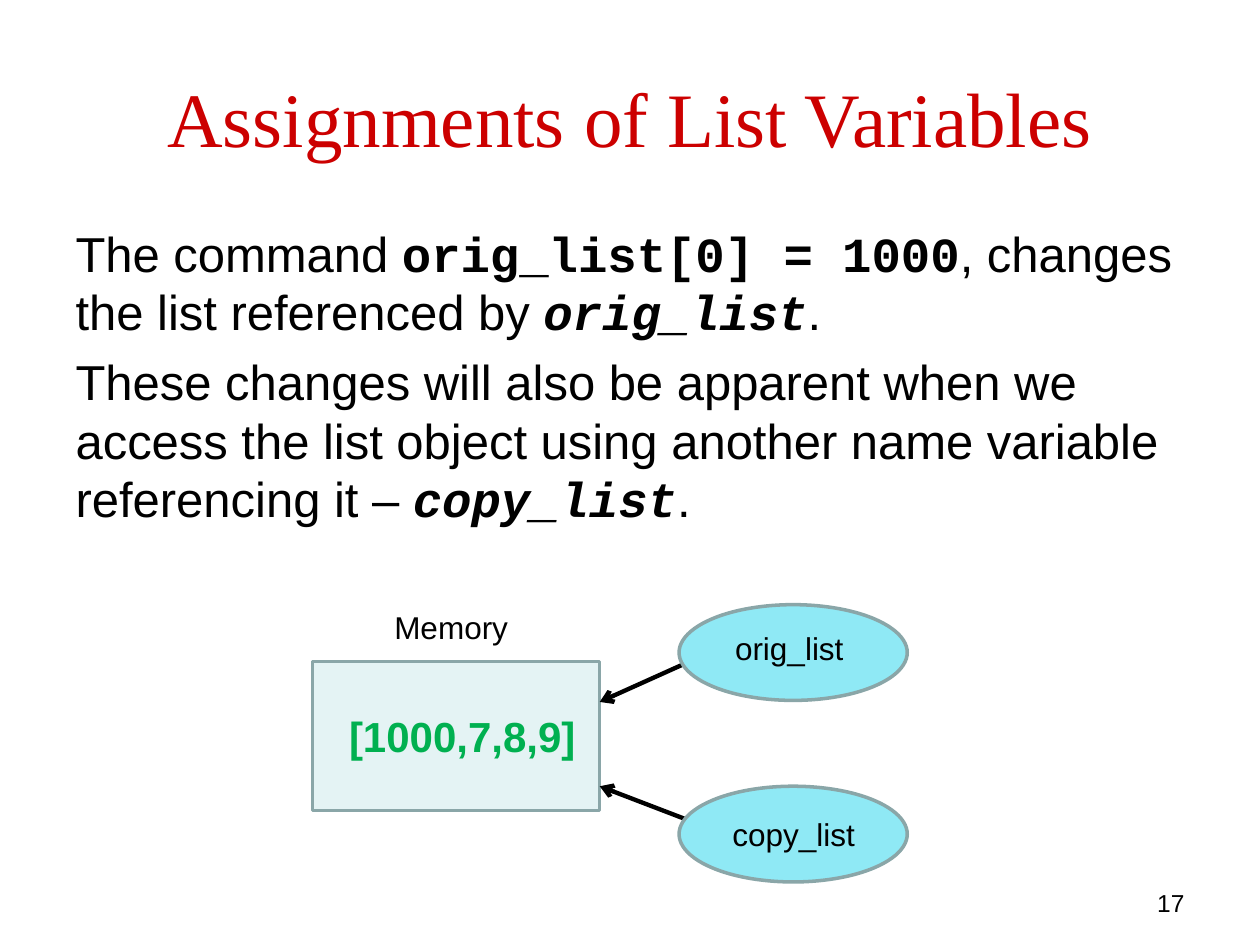
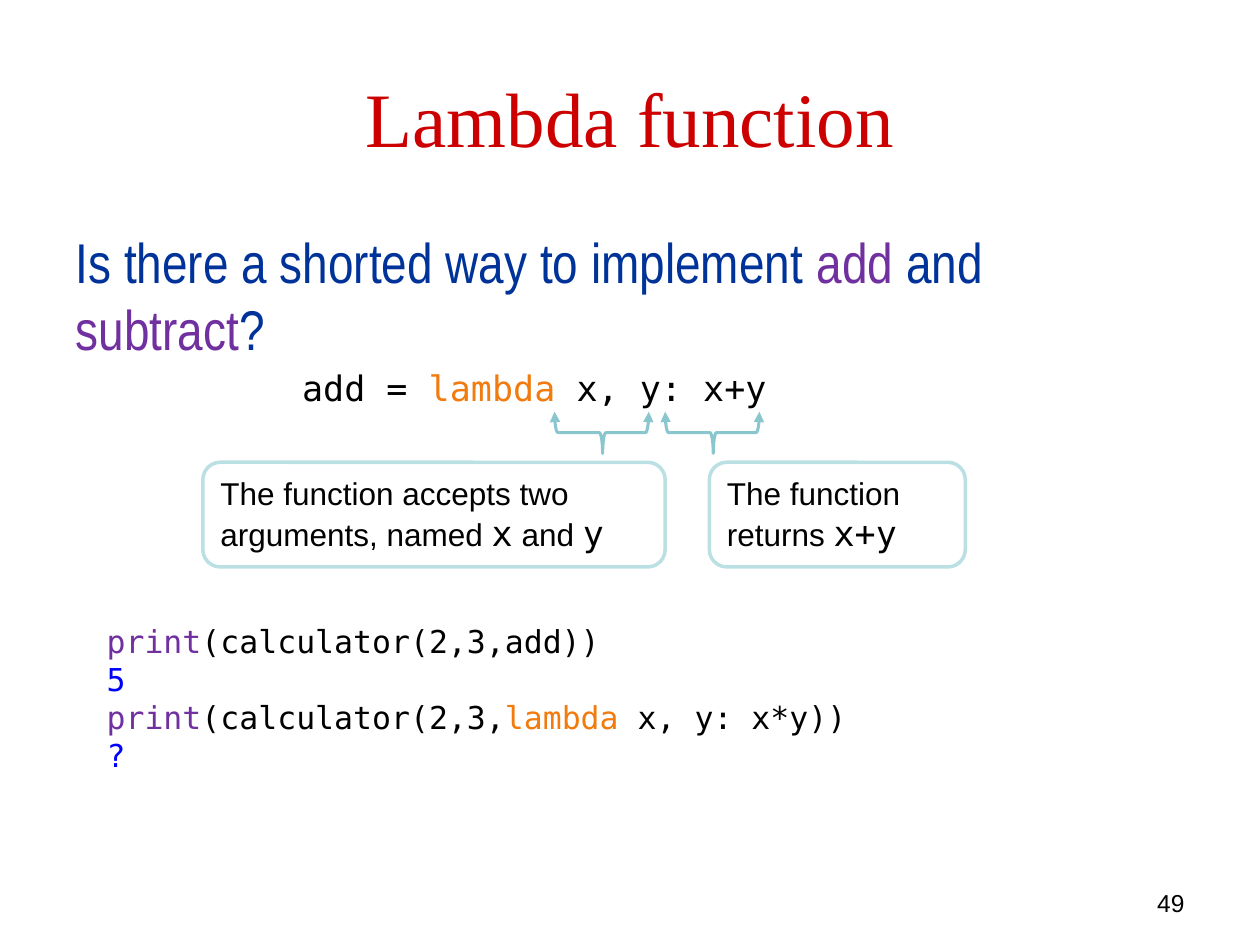
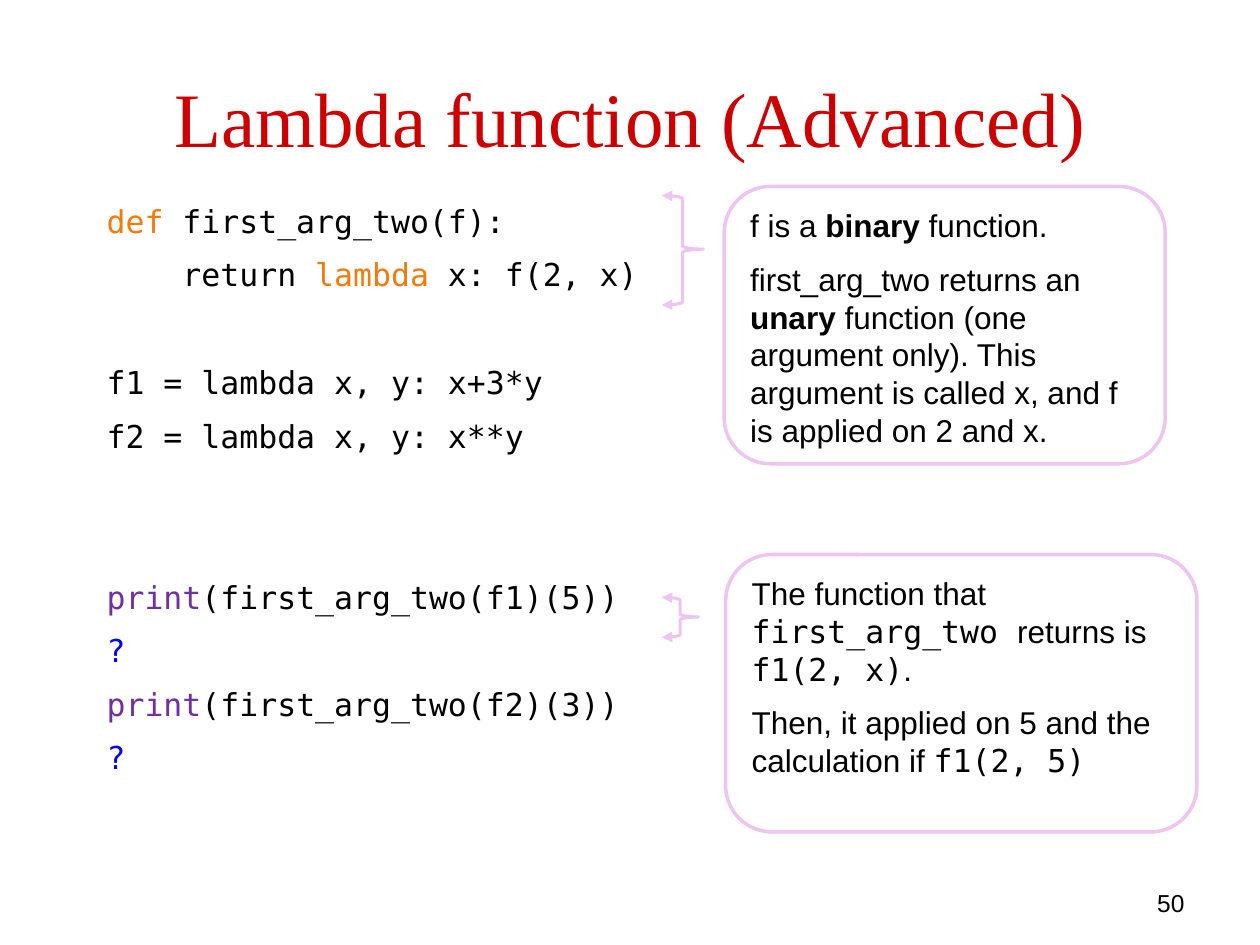
from lxml import etree
from pptx import Presentation
from pptx.dml.color import RGBColor
from pptx.enum import shapes, text
from pptx.oxml import ns
from pptx.util import Cm, Pt

INK = {
    "title": "CC0000", "black": "000000", "navy": "003399", "purple": "7030A0",
    "orange": "F17B0F", "blue": "0000FF", "green": "00B050", "memory": "E4F3F4",
    "name": "8FE9F5", "edge": "8AA6A8", "teal": "8AC6CD", "pale": "BBE0E3",
    "pink": "EDC5F0",
}

SANS = {"name": "Arial", "size": Pt(18), "ink": "black"}
MONO = SANS | {"name": "DejaVu Sans Mono"}
BODY = SANS | {"size": Pt(28)}
CODE = BODY | {"name": "Courier New", "bold": True}
ASK = {"name": "Arial Narrow", "size": Pt(32), "ink": "navy"}
STYLES = {
    "title": {"name": "Times New Roman", "size": Pt(44), "ink": "title"},
    "page": SANS | {"size": Pt(14)},
    "sans": SANS,
    "bold": SANS | {"bold": True},
    "value": SANS | {"size": Pt(24), "bold": True, "ink": "green"},
    "body": BODY,
    "code": CODE,
    "var": CODE | {"italic": True},
    "ask": ASK,
    "func": ASK | {"ink": "purple"},
    "mono": MONO,
    "key": MONO | {"ink": "orange"},
    "call": MONO | {"ink": "purple"},
    "out": MONO | {"ink": "blue"},
    "big": MONO | {"size": Pt(20)},
    "bigkey": MONO | {"size": Pt(20), "ink": "orange"},
}
LEFT, MID, RIGHT = (text.PP_ALIGN.LEFT, text.PP_ALIGN.CENTER, text.PP_ALIGN.RIGHT)
TOP, CORE = text.MSO_ANCHOR.TOP, text.MSO_ANCHOR.MIDDLE
GAP = 9


def tint(color, key):
    color.rgb = RGBColor.from_string(INK[key])


def place(shape, box):
    for side, size in zip(("left", "top", "width", "height"), box):
        setattr(shape, side, Cm(size))


def write(shape, paras, align=LEFT, anchor=TOP, gap=GAP, gaps=None):
    """Fill a shape with paragraphs, each a list of (words, style) runs.

    gaps maps a paragraph index to a space before other than gap.
    """
    frame = shape.text_frame
    frame.word_wrap = True
    frame.auto_size = text.MSO_AUTO_SIZE.NONE
    frame.vertical_anchor = anchor
    for i, runs in enumerate(paras):
        para = frame.add_paragraph() if i else frame.paragraphs[0]
        para.alignment = align
        para.space_before = Pt((gaps or {}).get(i, gap) if i else 0)
        for words, style in runs:
            run = para.add_run()
            run.text = words
            for key, value in STYLES[style].items():
                if key == "ink":
                    tint(run.font.color, value)
                else:
                    setattr(run.font, key, value)
    return frame


def note(slide, box, paras, **form):
    """Add a text box."""
    return write(slide.shapes.add_textbox(*map(Cm, box)), paras, **form)


def start(deck, layout, title, page):
    """Add a slide with its title and page number."""
    slide = deck.slides.add_slide(deck.slide_layouts[layout])
    place(slide.shapes.title, (1.27, 0.76, 22.86, 3.18))
    write(slide.shapes.title, [[(title, "title")]], MID, CORE)
    note(slide, (18.21, 17.78, 5.92, 0.64), [[(page, "page")]], align=RIGHT)
    return slide


def body(slide, top, paras):
    """Fill the body placeholder with unbulleted paragraphs."""
    holder = slide.placeholders[1]
    place(holder, (1.27, top, 22.86, 12.57))
    for para in write(holder, paras, gap=6).paragraphs:
        props = para._p.get_or_add_pPr()
        props.set("marL", "0")
        props.set("indent", "0")
        etree.SubElement(props, ns.qn("a:buNone"))


def draw(slide, kind, box, line, width=2, fill=None):
    shape = slide.shapes.add_shape(kind, *map(Cm, box))
    shape.shadow.inherit = False
    if fill:
        shape.fill.solid()
        tint(shape.fill.fore_color, fill)
    else:
        shape.fill.background()
    tint(shape.line.color, line)
    shape.line.width = Pt(width)
    return shape


def tip(shape, kind, *ends):
    """Put arrowheads on the given line ends."""
    line = shape.line._get_or_add_ln()
    for end in ends:
        etree.SubElement(line, ns.qn("a:" + end), type=kind)


def arrow(slide, *points):
    link = slide.shapes.add_connector(shapes.MSO_CONNECTOR.STRAIGHT, *map(Cm, points))
    tint(link.line.color, "black")
    link.line.width = Pt(2.5)
    tip(link, "arrow", "tailEnd")
    etree.SubElement(link._element.spPr, ns.qn("a:effectLst"))


def brace(slide, box, turn, line):
    shape = draw(slide, shapes.MSO_SHAPE.LEFT_BRACE, box, line, 1.75)
    shape.rotation = turn
    shape.adjustments[0] = 0.08
    shape.adjustments[1] = 0.51
    tip(shape, "triangle", "headEnd", "tailEnd")


def bubble(slide, box, line, paras):
    """Add a rounded frame that explains some code."""
    write(draw(slide, shapes.MSO_SHAPE.ROUNDED_RECTANGLE, box, line), paras)


def lists(deck):
    slide = start(deck, 1, "Assignments of List Variables", "17")
    body(slide, 4.37, [
        [("The command ", "body"), ("orig_list[0] = 1000", "code"),
         (", changes the list referenced by ", "body"),
         ("orig_list", "var"), (".", "body")],
        [("These changes will also be apparent when we access the list object "
          "using another name variable referencing it – ", "body"),
         ("copy_list", "var"), (".", "body")],
    ])
    store = draw(slide, shapes.MSO_SHAPE.RECTANGLE, (6.3, 13.34, 5.79, 3),
                 "edge", fill="memory")
    frame = write(store, [[("[1000,7,8,9]", "value")]], MID, CORE)
    frame.margin_left = Cm(0.5)
    note(slide, (7.7, 12.14, 3, 1.02), [[("Memory", "sans")]])
    for name, top, label, tail, head in (
        ("orig_list ", 12.19, 12.55, 13.34, 14.15),
        ("copy_list ", 15.85, 16.31, 16.54, 15.85),
    ):
        arrow(slide, 13.89, tail, 12.09, head)
        draw(slide, shapes.MSO_SHAPE.OVAL, (13.69, top, 4.6, 1.93),
             "edge", fill="name")
        note(slide, (14.5, label, 3, 1.02), [[(name, "sans")]], align=MID)


def basic(deck):
    slide = start(deck, 1, "Lambda function", "49")
    body(slide, 4.45, [
        [("Is there a shorted way to implement ", "ask"), ("add", "func"),
         (" and ", "ask"), ("subtract", "func"), ("?", "ask")],
    ])
    frame = note(slide, (5.84, 7.26, 9.91, 1.12), [
        [("add = ", "big"), ("lambda", "bigkey"), (" x, y: x+y", "big")],
    ])
    frame.word_wrap = False
    for left in (11.71, 13.94):
        brace(slide, (left, 7.77, 0.84, 1.9), 270, "teal")
    bubble(slide, (4.09, 9.32, 9.32, 2.11), "pale", [
        [("The function accepts two arguments, named ", "sans"), ("x", "big"),
         (" and ", "sans"), ("y", "big")],
    ])
    bubble(slide, (14.3, 9.32, 5.16, 2.11), "pale", [
        [("The function returns ", "sans"), ("x+y", "big")],
    ])
    note(slide, (1.9, 12.42, 20.12, 3.33), [
        [("print", "call"), ("(calculator(2,3,add))", "mono")],
        [("5", "out")],
        [("print", "call"), ("(calculator(2,3,", "mono"), ("lambda", "key"),
         (" x, y: x*y))", "mono")],
        [("?", "out")],
    ], gap=0)


def advanced(deck):
    slide = start(deck, 5, "Lambda function (Advanced)", "50")
    note(slide, (1.9, 3.94, 12.7, 12.57), [
        [("def ", "key"), ("first_arg_two(f):", "mono")],
        [("    return ", "mono"), ("lambda", "key"), (" x: f(2, x)", "mono")],
        [("f1 = lambda x, y: x+3*y", "mono")],
        [("f2 = lambda x, y: x**y", "mono")],
        [("print", "call"), ("(first_arg_two(f1)(5))", "mono")],
        [("?", "out")],
        [("print", "call"), ("(first_arg_two(f2)(3))", "mono")],
        [("?", "out")],
    ], gaps={2: 40, 4: 70.5})
    brace(slide, (13.34, 3.94, 0.84, 2.21), 180, "pink")
    bubble(slide, (14.6, 3.76, 8.89, 5.59), "pink", [
        [("f is a ", "sans"), ("binary", "bold"), (" function.", "sans")],
        [("first_arg_two returns an ", "sans"), ("unary", "bold"),
         (" function (one argument only). This argument is called x, "
          "and f is applied on 2 and x.", "sans")],
    ])
    brace(slide, (13.34, 12.04, 0.74, 0.81), 180, "pink")
    bubble(slide, (14.63, 11.18, 9.5, 5.59), "pink", [
        [("The function that ", "sans"), ("first_arg_two ", "mono"),
         ("returns is ", "sans"), ("f1(2, x)", "mono"), (".", "sans")],
        [("Then, it applied on 5 and the calculation if ", "sans"),
         ("f1(2, 5)", "mono")],
    ])


def main():
    deck = Presentation()
    deck.slide_width, deck.slide_height = Cm(25.4), Cm(19.05)
    for build in (lists, basic, advanced):
        build(deck)
    deck.save("out.pptx")


if __name__ == "__main__":
    main()
